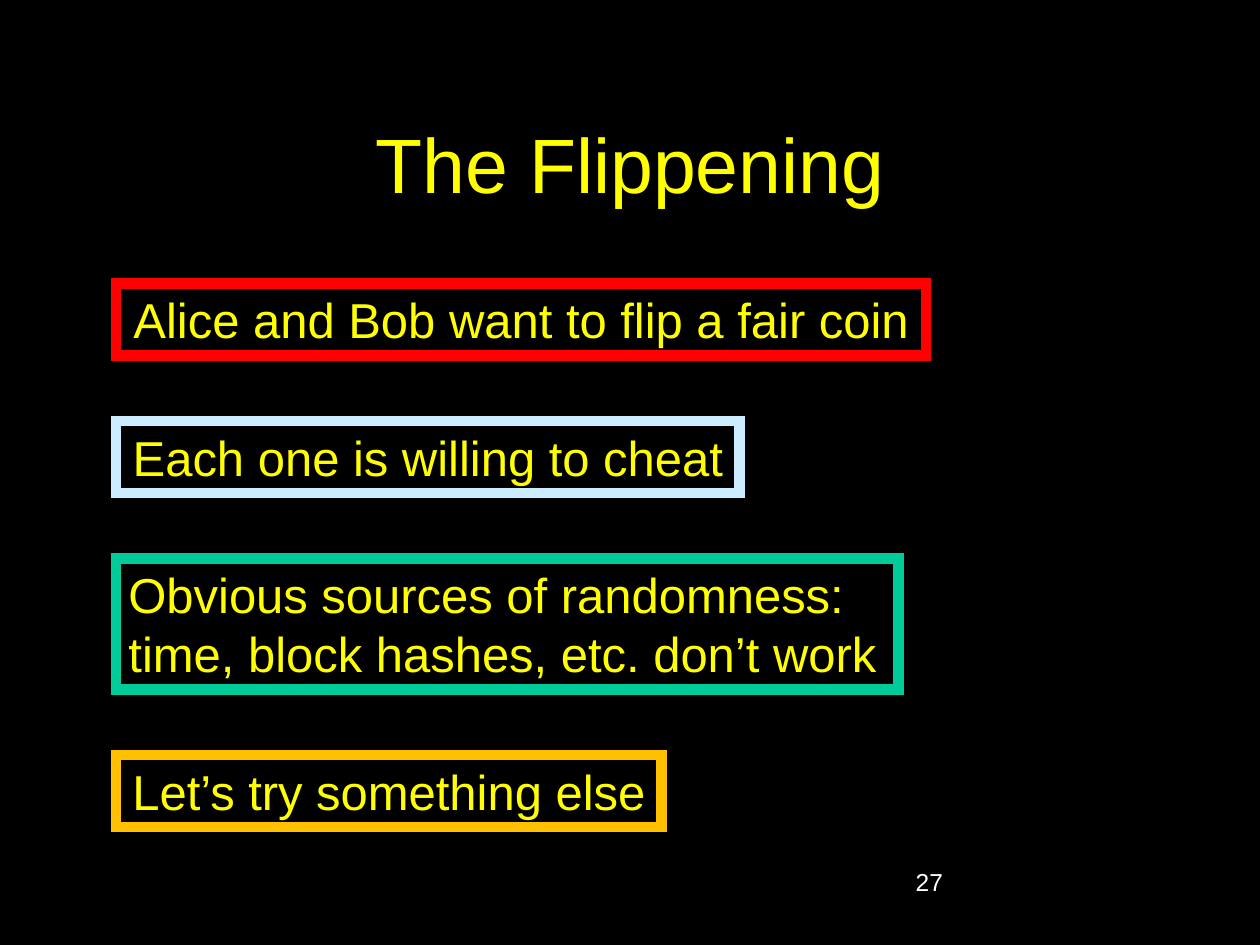
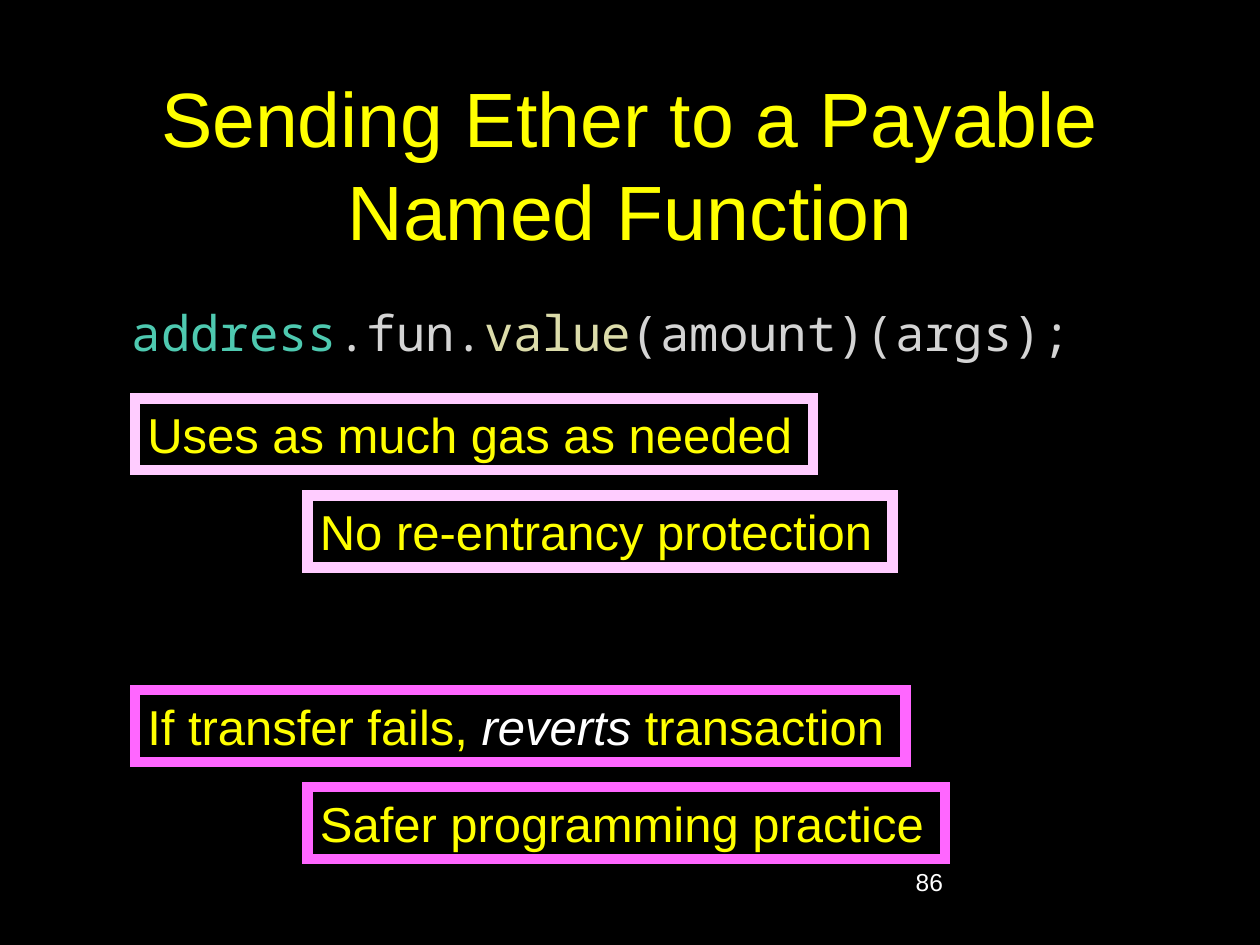
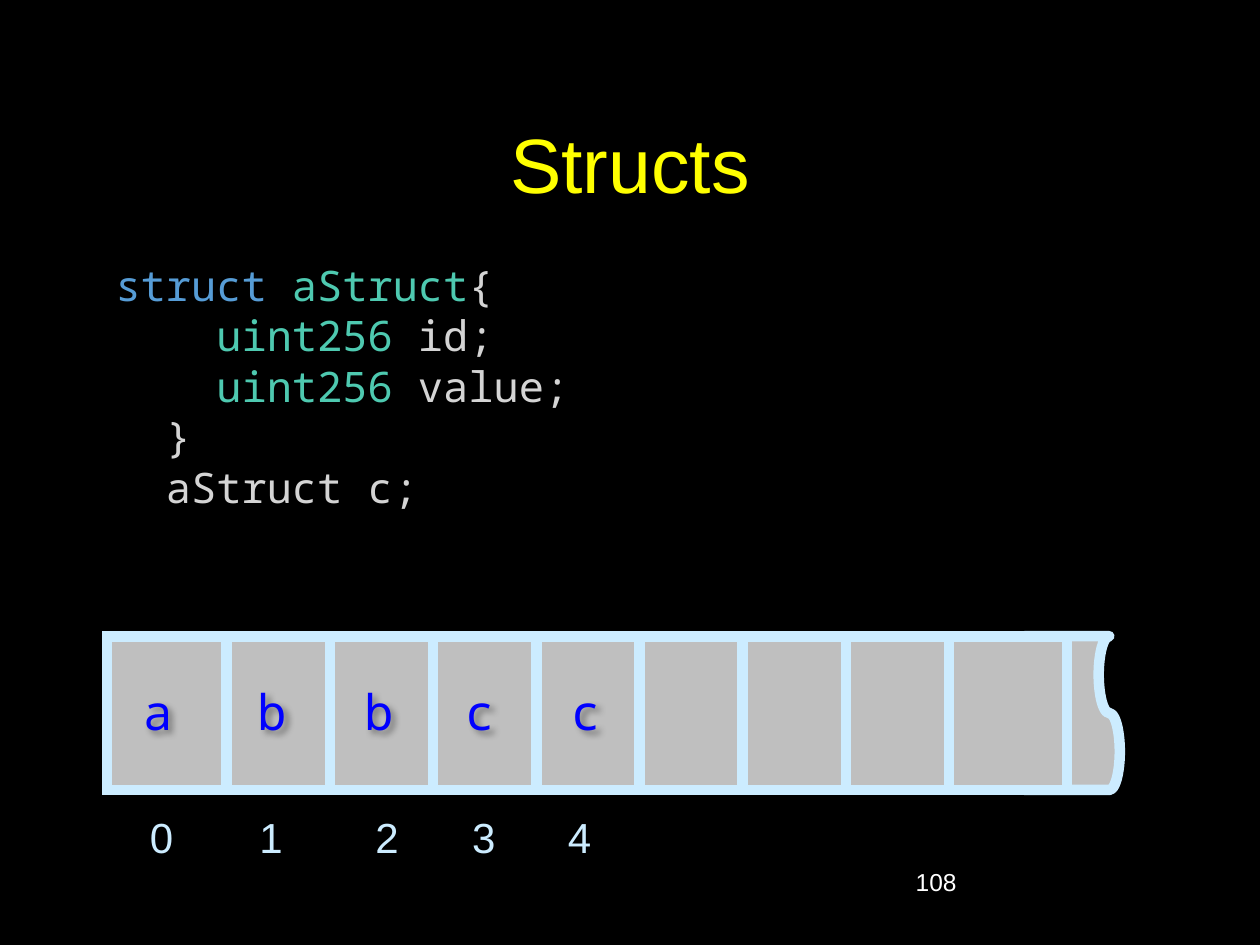
"""Builds three slides on coin flipping, payable functions and struct storage."""
from lxml.etree import SubElement
from pptx import Presentation
from pptx.dml.color import RGBColor
from pptx.enum.shapes import MSO_CONNECTOR, MSO_SHAPE
from pptx.enum.text import MSO_ANCHOR as ANCHOR, MSO_AUTO_SIZE as AUTO, PP_ALIGN as ALIGN
from pptx.oxml.ns import qn
from pptx.util import Cm, Pt

BLACK = RGBColor(0, 0, 0)
WHITE = RGBColor(255, 255, 255)
YELLOW = RGBColor(255, 255, 0)
RED = RGBColor(255, 0, 0)
ICE = RGBColor(0xCC, 0xEC, 0xFF)
GREEN = RGBColor(0, 0xCC, 0x99)
ORANGE = RGBColor(0xFF, 0xC0, 0)
PINK = RGBColor(0xFF, 0xCC, 0xFF)
MAGENTA = RGBColor(0xFF, 0x66, 0xFF)
GRAY = RGBColor(0xBF, 0xBF, 0xBF)
BLUE = RGBColor(0, 0, 255)
TYPE = RGBColor(0x4E, 0xC9, 0xB0)
PLAIN = RGBColor(0xD4, 0xD4, 0xD4)
CALL = RGBColor(0xDC, 0xDC, 0xAA)
KEYWORD = RGBColor(0x56, 0x9C, 0xD6)
SANS, MONO = "Arial", "Noto Sans Mono"
BORDER = Pt(6)
LINE_H, TWO_LINES_H = 1.45, 2.64

FLIP_BOXES = [
    (["Alice and Bob want to flip a fair coin"], RED, 16.33, LINE_H),
    (["Each one is willing to cheat"], ICE, 12.57, LINE_H),
    (["Obvious sources of randomness:", "time, block hashes, etc. don’t work"],
     GREEN, 15.77, TWO_LINES_H),
    (["Let’s try something else"], ORANGE, 11, LINE_H),
]
SEND_CODE = [[("address", TYPE), (".fun.", PLAIN), ("value", CALL),
              ("(amount)(args);", PLAIN)]]
SEND_BOXES = [
    (0, 0, [("Uses as much gas as needed", YELLOW)], PINK, 13.67),
    (1, 1, [("No re-entrancy protection", YELLOW)], PINK, 11.79),
    (3, 0, [("If transfer fails, ", YELLOW), ("reverts", WHITE),
            (" transaction", YELLOW)], MAGENTA, 15.54),
    (4, 1, [("Safer programming practice", YELLOW)], MAGENTA, 12.85),
]
STRUCT_CODE = [
    [("struct ", KEYWORD), ("aStruct", TYPE), ("{", PLAIN)],
    [("    uint256", TYPE), (" id;", PLAIN)],
    [("    uint256", TYPE), (" value;", PLAIN)],
    [("  }", PLAIN)],
    [("  aStruct c;", PLAIN)],
]
SLOTS = [("a", 2.64, 2.77), ("b", 4.95, 4.98), ("b", 7.09, 7.32),
         ("c", 9.14, 9.27), ("c", 11.28, 11.2)]
STRIP_TOP, STRIP_H = 12.83, 3.1
DIVIDERS, FIRST_DIVIDER, SLOT_W = 8, 4.57, 2.08


def write(sp, paras, size, font=SANS, align=ALIGN.LEFT, anchor=ANCHOR.TOP,
          wrap=False, grow=True):
    tf = sp.text_frame
    tf.word_wrap, tf.vertical_anchor = wrap, anchor
    tf.auto_size = AUTO.SHAPE_TO_FIT_TEXT if grow else AUTO.NONE
    for i, runs in enumerate(paras):
        p = tf.add_paragraph() if i else tf.paragraphs[0]
        p.alignment = align
        for text, color in runs:
            r = p.add_run()
            r.text = text
            r.font.name, r.font.size, r.font.color.rgb = font, Pt(size), color
    return tf


def text_box(s, x, y, w, h, paras, size, **style):
    sp = s.shapes.add_textbox(Cm(x), Cm(y), Cm(w), Cm(h))
    write(sp, paras, size, **style)
    return sp


def shape(s, kind, x, y, w, h, fill, line=None, miter=True):
    sp = s.shapes.add_shape(kind, Cm(x), Cm(y), Cm(w), Cm(h))
    sp.shadow.inherit = False
    sp.fill.solid()
    sp.fill.fore_color.rgb = fill
    if line is None:
        sp.line.fill.background()
        return sp
    sp.line.color.rgb, sp.line.width = line, BORDER
    if miter:
        ln = sp._element.spPr.find(qn("a:ln"))
        SubElement(ln, qn("a:miter"), lim="800000")
    return sp


def framed(s, x, y, w, h, paras, line):
    sp = shape(s, MSO_SHAPE.RECTANGLE, x, y, w, h, BLACK, line)
    return write(sp, paras, 28)


def code_box(s, x, y, w, h, lines, size):
    sp = shape(s, MSO_SHAPE.RECTANGLE, x, y, w, h, BLACK)
    write(sp, lines, size, font=MONO, anchor=ANCHOR.MIDDLE, wrap=True)


def divider(s, x):
    c = s.shapes.add_connector(MSO_CONNECTOR.STRAIGHT, Cm(x), Cm(STRIP_TOP),
                               Cm(x), Cm(STRIP_TOP + STRIP_H))
    c.line.color.rgb, c.line.width = ICE, BORDER
    SubElement(c._element.spPr, qn("a:effectLst"))


def text_shadow(sp):
    effects = SubElement(sp._element.spPr, qn("a:effectLst"))
    shadow = SubElement(effects, qn("a:outerShdw"), blurRad=str(Pt(4)),
                        dist=str(Pt(3)), dir="2700000", algn="tl")
    color = SubElement(shadow, qn("a:srgbClr"), val=str(BLACK))
    SubElement(color, qn("a:alpha"), val="40000")


def new_slide(prs, title, number):
    s = prs.slides.add_slide(prs.slide_layouts[6])
    s.background.fill.solid()
    s.background.fill.fore_color.rgb = BLACK
    text_box(s, 1.91, 1.7, 21.59, 3.18, [[(title, YELLOW)]], 44, align=ALIGN.CENTER,
             anchor=ANCHOR.MIDDLE, wrap=True, grow=False)
    text_box(s, 18.21, 17.35, 5.28, 1.27, [[(number, WHITE)]], 14, wrap=True, grow=False)
    return s


def flip_slide(prs):
    s = new_slide(prs, "The Flippening", "27")
    y = 5.72
    for lines, color, w, h in FLIP_BOXES:
        tf = framed(s, 2.34, y, w, h, [[(line, YELLOW)] for line in lines], color)
        tf.paragraphs[-1].alignment = ALIGN.CENTER
        y += h + 1.32


def send_slide(prs):
    s = new_slide(prs, "Sending Ether to a Payable Named Function", "86")
    code_box(s, 2.41, 5.97, 19.84, LINE_H, SEND_CODE, 28)
    for row, level, runs, color, w in SEND_BOXES:
        tf = framed(s, 2.72 + 3.48 * level, 8.03 + 1.96 * row, w, LINE_H, [runs], color)
        for r in tf.paragraphs[0].runs:
            r.font.italic = r.font.color.rgb == WHITE


def struct_slide(prs):
    s = new_slide(prs, "Structs", "108")
    code_box(s, 2.08, 5.08, 13.06, 5.38, STRUCT_CODE, 24)
    tape = shape(s, MSO_SHAPE.FLOWCHART_PUNCHED_TAPE, 19.96, 13.31, STRIP_H, 2.13,
                 GRAY, ICE, miter=False)
    tape.rotation = 270
    shape(s, MSO_SHAPE.RECTANGLE, 2.16, STRIP_TOP, 19.35, STRIP_H, GRAY, ICE)
    for i in range(DIVIDERS):
        divider(s, FIRST_DIVIDER + SLOT_W * i)
    for i, (name, name_x, index_x) in enumerate(SLOTS):
        text_shadow(text_box(s, name_x, 13.61, 1.07, LINE_H, [[(name, BLUE)]], 28, font=MONO))
        text_box(s, index_x, 16.23, 0.99, 1.27, [[(str(i), ICE)]], 24)


def main():
    prs = Presentation()
    prs.slide_width, prs.slide_height = Cm(25.4), Cm(19.05)
    flip_slide(prs)
    send_slide(prs)
    struct_slide(prs)
    prs.save("out.pptx")


if __name__ == "__main__":
    main()
